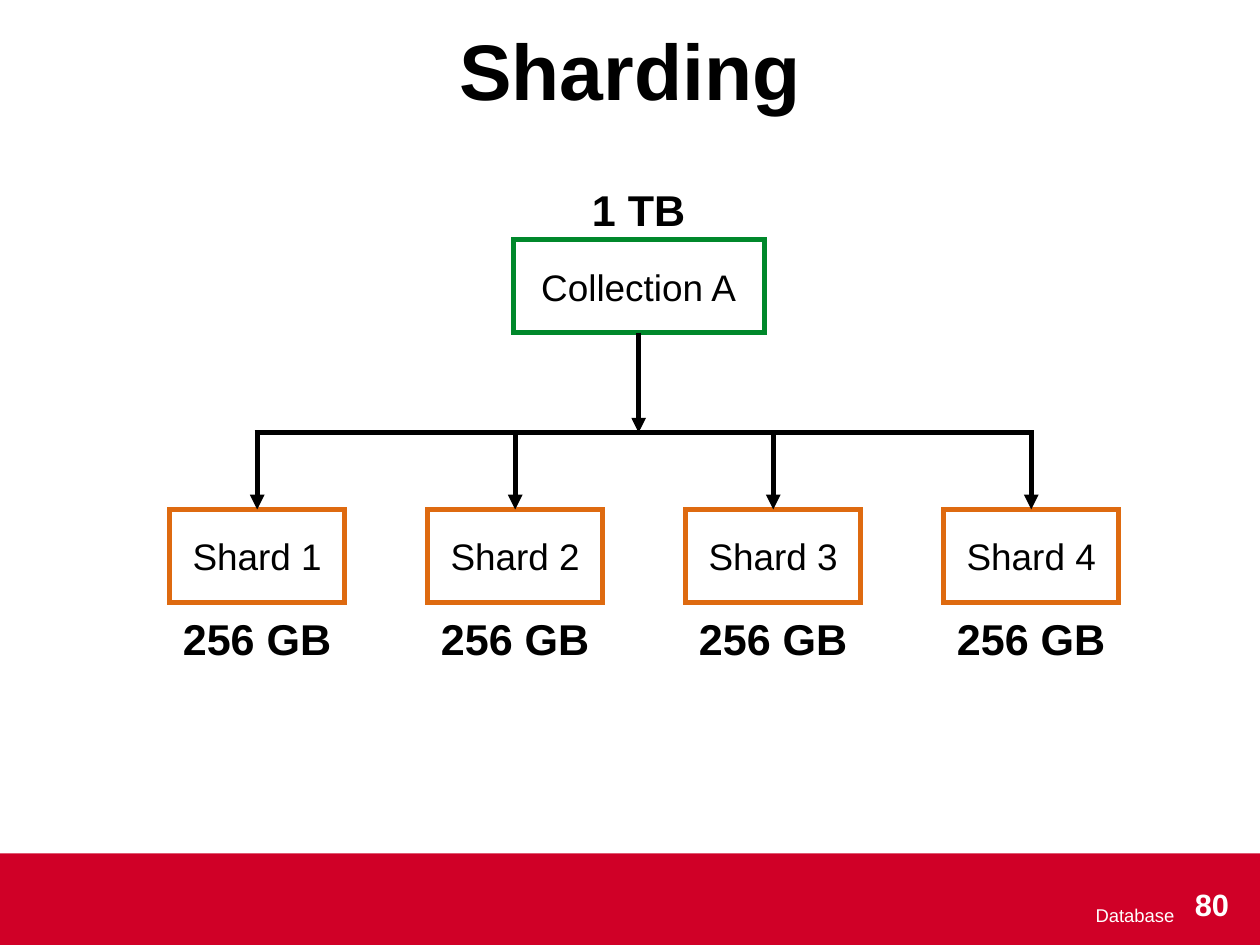
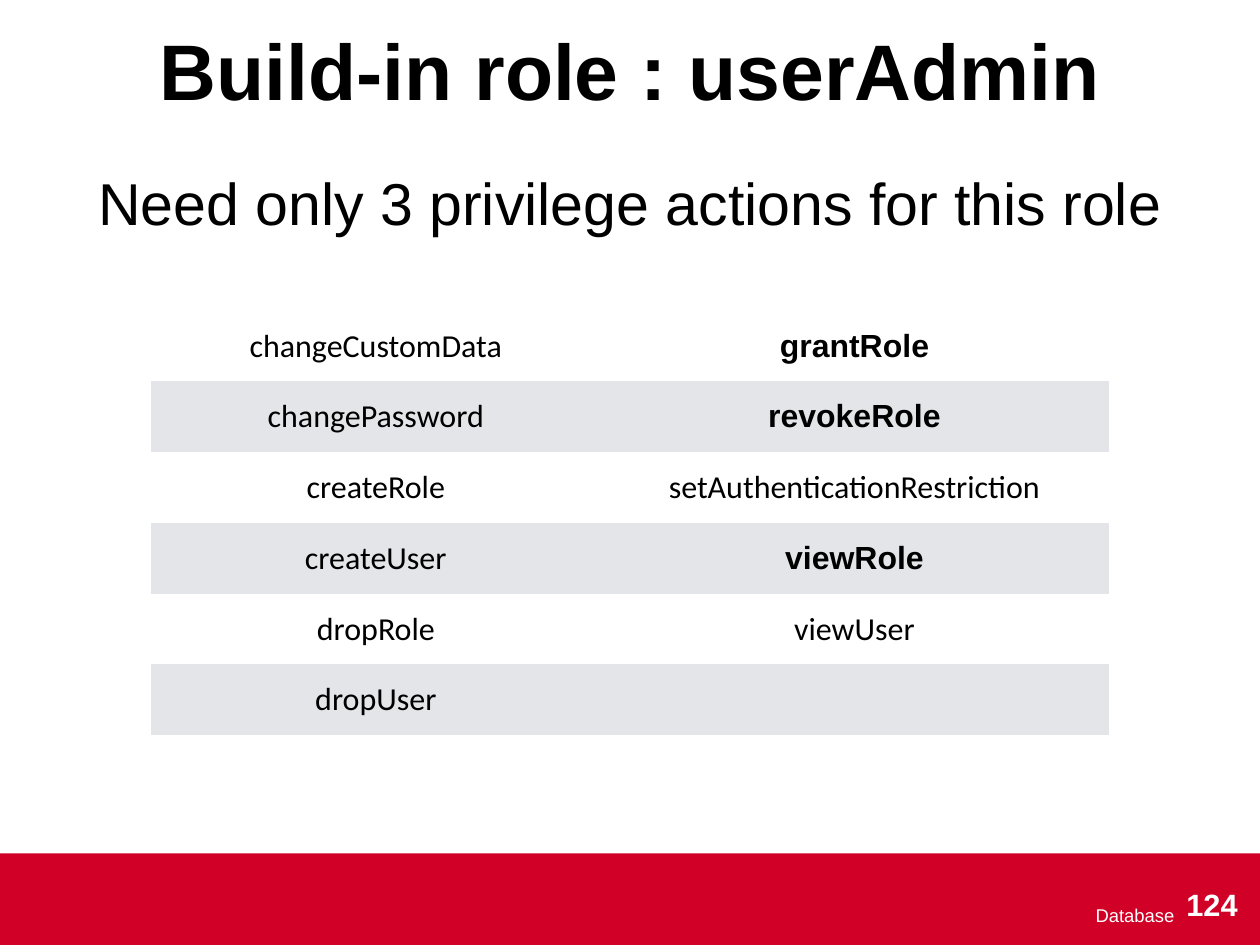
"""Build two database course slides: a sharding diagram and a table of role privileges."""
from lxml import etree
from pptx import Presentation
from pptx import util as u
from pptx.dml import color
from pptx.enum import shapes, text
from pptx.oxml import ns

Pt = u.Pt
WIDTH, HEIGHT = 1024, 768
BLACK, WHITE, RED, GREEN, ORANGE, GREY = "000000", "FFFFFF", "D00027", "00882B", "DE6A10", "E3E5E8"
NO_TABLE_STYLE = "{2D5ABB26-0587-4C30-8999-92F81FD0307C}"

COURSE = "Database"
SHARDING = {"title": "Sharding", "page": "80"}
COLLECTION = ("Collection A", "1 TB")
SHARDS = [(f"Shard {number}", "256 GB") for number in range(1, 5)]
USER_ADMIN = {"title": "Build-in role : userAdmin", "page": "124"}
SUMMARY = "Need only 3 privilege actions for this role"
ACTIONS = [
    ("changeCustomData", "grantRole"),
    ("changePassword", "revokeRole"),
    ("createRole", "setAuthenticationRestriction"),
    ("createUser", "viewRole"),
    ("dropRole", "viewUser"),
    ("dropUser", ""),
]
NEEDED = {"grantRole", "revokeRole", "viewRole"}


def rgb(value):
    return color.RGBColor.from_string(value)


def write(frame, words, size, bold=False, ink=BLACK, font="Arial", align="CENTER",
          anchor="MIDDLE", wrap=True, holder=None):
    holder = holder or frame
    holder.margin_left = holder.margin_right = holder.margin_top = holder.margin_bottom = Pt(4)
    holder.vertical_anchor = getattr(text.MSO_ANCHOR, anchor)
    if holder is frame:
        frame.auto_size = text.MSO_AUTO_SIZE.NONE
        frame.word_wrap = wrap
    frame.text = words
    paragraph = frame.paragraphs[0]
    paragraph.alignment = getattr(text.PP_ALIGN, align)
    style = paragraph.runs[0].font if words else paragraph.font
    style.name, style.size, style.bold = font, Pt(size), bold
    style.color.rgb = rgb(ink)


def place(shape, left, top, width, height):
    shape.left, shape.top, shape.width, shape.height = Pt(left), Pt(top), Pt(width), Pt(height)


def label(slide, words, left, top, width, height, **style):
    box = slide.shapes.add_textbox(Pt(left), Pt(top), Pt(width), Pt(height))
    write(box.text_frame, words, **style)
    return box


def rectangle(slide, left, top, width, height, fill=None, outline=None):
    box = slide.shapes.add_shape(shapes.MSO_SHAPE.RECTANGLE, Pt(left), Pt(top), Pt(width), Pt(height))
    box.shadow.inherit = False
    if fill:
        box.fill.solid()
        box.fill.fore_color.rgb = rgb(fill)
    else:
        box.fill.background()
    if outline:
        box.line.color.rgb = rgb(outline)
        box.line.width = Pt(4)
        etree.SubElement(box.line._get_or_add_ln(), ns.qn("a:miter"), lim="800000")
    else:
        box.line.fill.background()
    return box


def line(slide, x1, y1, x2, y2, arrow=False):
    link = slide.shapes.add_connector(shapes.MSO_CONNECTOR.STRAIGHT, Pt(x1), Pt(y1), Pt(x2), Pt(y2))
    link.line.color.rgb = rgb(BLACK)
    link.line.width = Pt(4)
    if arrow:
        etree.SubElement(link.line._get_or_add_ln(), ns.qn("a:tailEnd"), type="triangle")
    etree.SubElement(link.element.spPr, ns.qn("a:effectLst"))
    return link


def add_slide(deck, title, page):
    slide = deck.slides.add_slide(deck.slide_layouts.get_by_name("Title Only"))
    place(slide.shapes.title, 0, 16, WIDTH, 80)
    write(slide.shapes.title.text_frame, title, 64, bold=True)
    label(slide, page, 960, 715.5, 50, 36, size=25, bold=True, ink=WHITE, anchor="TOP", wrap=False)
    return slide


def move_footer_to_layout(slide):
    band = rectangle(slide, 0, 693.5, WIDTH, HEIGHT - 693.5, fill=RED)
    course = label(slide, COURSE, 358.5, 719, 600, 49, size=15, ink=WHITE, align="RIGHT")
    for part in (band, course):
        slide.slide_layout.shapes.element.append(part.element)


def draw_sharding(slide):
    middle, bus_y, box_height = 519, 351.5, 75.5
    first, pitch, shard_width, shard_top = 209, 209.7, 142.5, 414

    name, size = COLLECTION
    collection = rectangle(slide, middle - 102, 195, 204, box_height, outline=GREEN)
    write(collection.text_frame, name, 30)
    label(slide, size, middle - 42.5, 147, 85, 47, size=35, bold=True, wrap=False)
    line(slide, middle, 195 + box_height, middle, bus_y, arrow=True).begin_connect(collection, 2)

    for index, (name, size) in enumerate(SHARDS):
        center = first + index * pitch
        shard = rectangle(slide, center - shard_width / 2, shard_top, shard_width, box_height, outline=ORANGE)
        write(shard.text_frame, name, 30)
        label(slide, size, center - 65, 495.5, 130, 47, size=35, bold=True, wrap=False)
        line(slide, center, bus_y, center, shard_top, arrow=True).end_connect(shard, 0)
    line(slide, first - 2, bus_y, center + 2, bus_y)


def draw_actions(slide):
    label(slide, SUMMARY, 0, 133.5, WIDTH, 61, size=48)
    widths, row_height = (365, 413), 57.5
    frame = slide.shapes.add_table(len(ACTIONS), len(widths), Pt(123), Pt(252.5),
                                   Pt(sum(widths)), Pt(row_height * len(ACTIONS)))
    table = frame.table
    table.first_row = table.horz_banding = False
    next(frame.element.iter(ns.qn("a:tableStyleId"))).text = NO_TABLE_STYLE
    for column, width in zip(table.columns, widths):
        column.width = Pt(width)
    for r, actions in enumerate(ACTIONS):
        table.rows[r].height = Pt(row_height)
        for c, action in enumerate(actions):
            cell = table.cell(r, c)
            cell.fill.solid()
            cell.fill.fore_color.rgb = rgb(GREY if r % 2 else WHITE)
            needed = action in NEEDED
            write(cell.text_frame, action, 26, bold=needed,
                  font="Arial" if needed else "Calibri", holder=cell)


def main():
    deck = Presentation()
    deck.slide_width, deck.slide_height = Pt(WIDTH), Pt(HEIGHT)
    sharding = add_slide(deck, **SHARDING)
    move_footer_to_layout(sharding)
    draw_sharding(sharding)
    draw_actions(add_slide(deck, **USER_ADMIN))
    deck.save("out.pptx")


if __name__ == "__main__":
    main()
